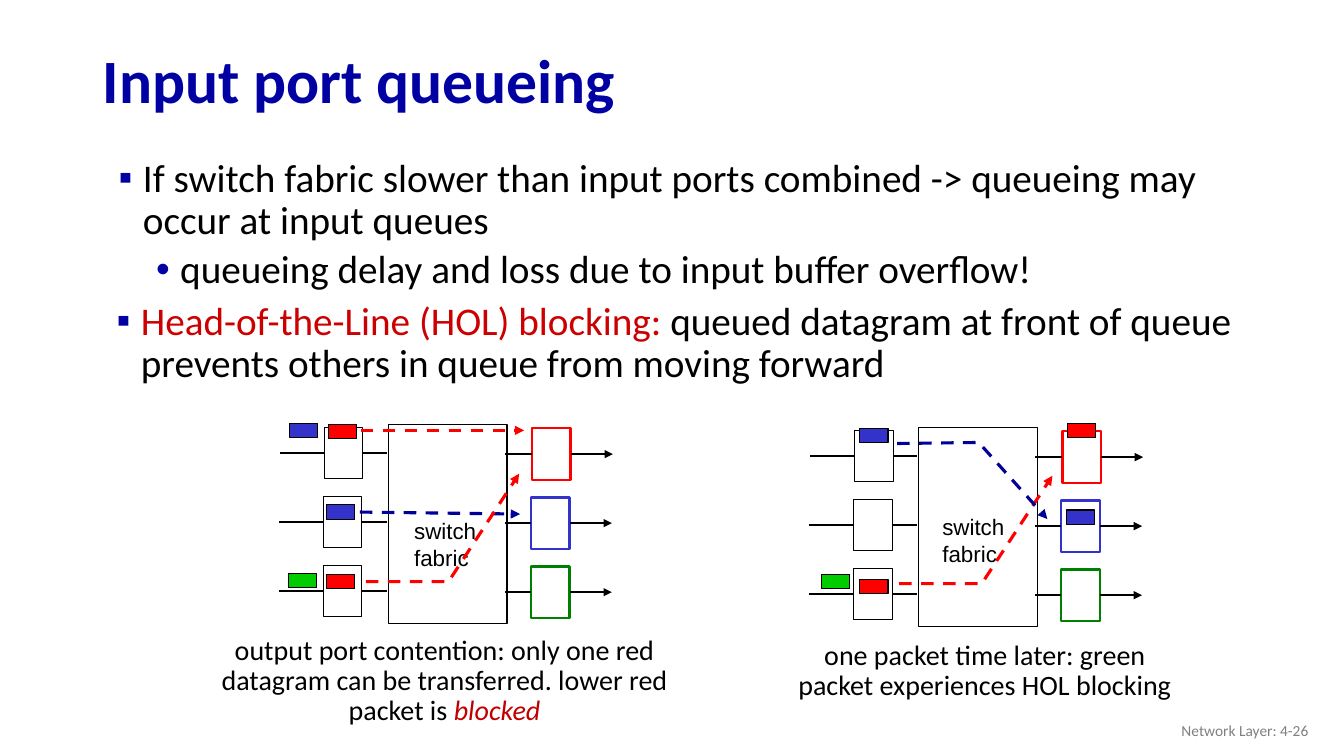
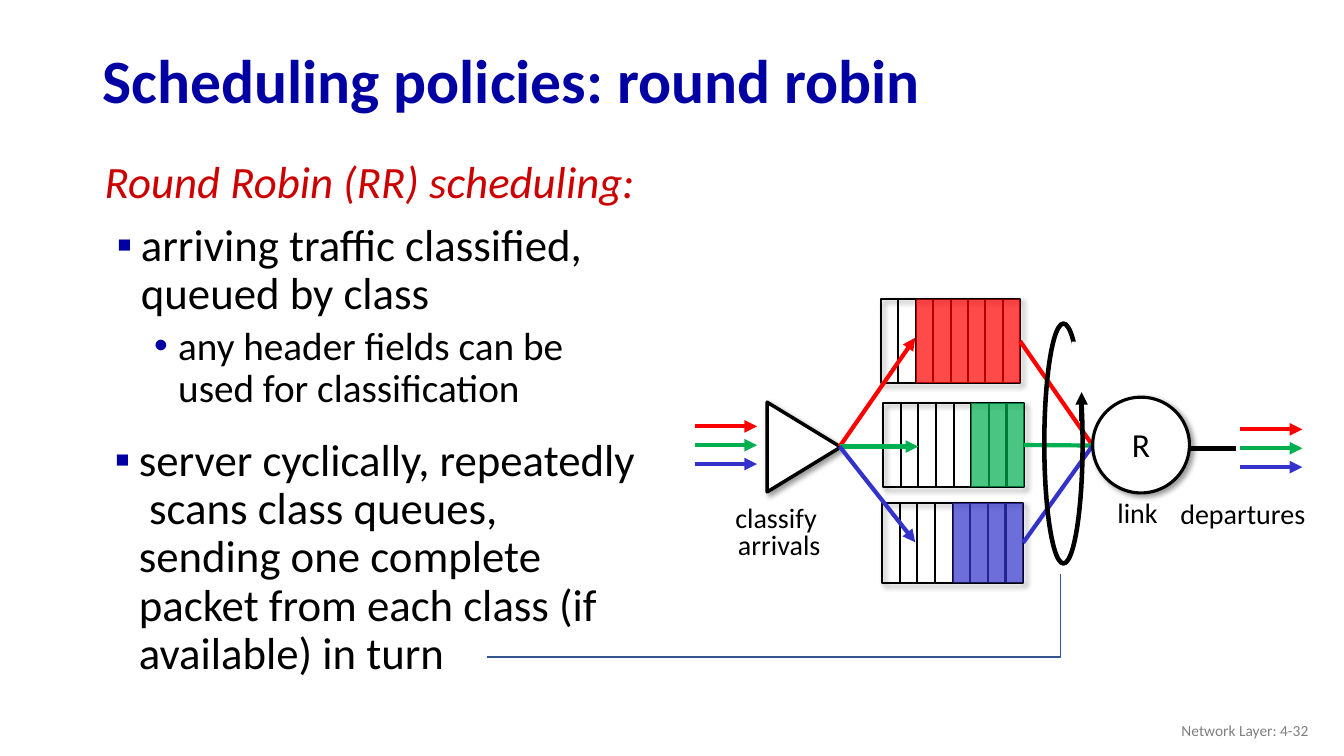
from dataclasses import dataclass

from lxml import etree
from pptx import Presentation
from pptx.dml.color import RGBColor
from pptx.enum import dml, shapes, text
from pptx.oxml.ns import qn
from pptx.util import Inches, Pt


@dataclass(frozen=True)
class Theme:
    # Colours
    title: str = "0000A3"
    ink: str = "000000"
    paper: str = "FFFFFF"
    accent: str = "CC0000"
    blocked: str = "C00000"
    footer: str = "808080"
    red: str = "FF0000"
    blue: str = "3333CC"
    navy: str = "000099"
    port_green: str = "008000"
    packet_green: str = "00CC00"
    class_green: str = "00B050"
    callout: str = "325491"
    # Fonts and sizes in points
    font: str = "Calibri"
    label_font: str = "Arial"
    title_size: int = 44
    large: int = 32
    body: int = 28
    server: int = 24
    caption: int = 20
    label: int = 16
    footer_size: int = 11


THEME = Theme()
CENTER, RIGHT = text.PP_ALIGN.CENTER, text.PP_ALIGN.RIGHT
MIDDLE = text.MSO_ANCHOR.MIDDLE
RECT, OVAL = shapes.MSO_SHAPE.RECTANGLE, shapes.MSO_SHAPE.OVAL
TRIANGLE = shapes.MSO_SHAPE.ISOSCELES_TRIANGLE
TOP_SIDE, LEFT_SIDE, BOTTOM_SIDE, RIGHT_SIDE = range(4)

# Paragraph styles: bullet, text indent in cells, space before, level
HEADING = (None, 3.9, 10, 0)
SQUARE = ("▪", 3.9, 10, 0)
INNER_SQUARE = ("▪", 5.1, 10, 0)
DOT = ("•", 7.6, 5, 1)
INNER_DOT = ("•", 8.8, 5, 1)
HANGING = 2.4

# The grid: square cells of a tenth of an inch
COLUMNS, ROWS = 133.33, 75


def cells(count):
    return Inches(count / 10)


def add_xml(parent, tag, **attributes):
    return etree.SubElement(parent, qn(tag), {k: str(v) for k, v in attributes.items()})


class Deck:
    """Holds the style and the current slide; lengths are grid cells."""

    def __init__(self, theme):
        self.theme = theme
        self.file = Presentation()
        self.file.slide_width, self.file.slide_height = cells(COLUMNS), cells(ROWS)
        self.slide = None

    def start(self, title, page):
        self.slide = self.file.slides.add_slide(self.file.slide_layouts[6])
        t = self.theme
        self.words((9.2, 3.4, 115, 9.8), [title], t.title_size, t.title,
                   bold=True, anchor=MIDDLE)
        self.words((100.8, 70.5, 30, 4), [f"Network Layer: {page}"], t.footer_size,
                   t.footer, align=RIGHT, anchor=MIDDLE, spacing=1)

    def words(self, place, lines, size, color=None, align=None, anchor=None,
              spacing=0.9, bold=False, font=None, wrap=True):
        box = self.slide.shapes.add_textbox(*map(cells, place))
        frame = box.text_frame
        frame.text = "\n".join(lines)
        frame.word_wrap = wrap
        frame.vertical_anchor = anchor
        for paragraph in frame.paragraphs:
            paragraph.alignment = align
            paragraph.line_spacing = spacing
            for run in paragraph.runs:
                self.style(run, size, color, bold, font=font)
        return frame.paragraphs

    def style(self, run, size, color=None, bold=False, italic=False, font=None):
        run.font.name = font or self.theme.font
        run.font.size = Pt(size)
        run.font.bold, run.font.italic = bold, italic
        run.font.color.rgb = RGBColor.from_string(color or self.theme.ink)

    def extend(self, paragraph, words, size, color=None, italic=False):
        run = paragraph.add_run()
        run.text = words
        self.style(run, size, color, italic=italic)

    def bullet(self, paragraph, kind):
        mark, indent, before, level = kind
        paragraph.level = level
        paragraph.space_before = Pt(before)
        props = paragraph._p.get_or_add_pPr()
        props.set("marL", str(cells(indent)))
        props.set("indent", str(-cells(HANGING)))
        if mark:
            add_xml(add_xml(props, "a:buClr"), "a:srgbClr", val=self.theme.title)
            add_xml(props, "a:buFont", typeface=self.theme.label_font)
            add_xml(props, "a:buChar", char=mark)

    def pen(self, item, color, width, dashed=False, arrow=False):
        item.line.color.rgb = RGBColor.from_string(color)
        item.line.width = Pt(width)
        if dashed:
            item.line.dash_style = dml.MSO_LINE.DASH
        if arrow:
            add_xml(item.element.spPr.find(qn("a:ln")), "a:tailEnd", type="triangle")

    def shape(self, kind, place, fill=None, outline=None, width=0.75,
              shadow=False, opacity=None, turn=0):
        item = self.slide.shapes.add_shape(kind, *map(cells, place))
        item.rotation = turn
        item.shadow.inherit = False
        if fill:
            item.fill.solid()
            item.fill.fore_color.rgb = RGBColor.from_string(fill)
        else:
            item.fill.background()
        if opacity:
            tint = item.element.spPr.find(f"{qn('a:solidFill')}/{qn('a:srgbClr')}")
            add_xml(tint, "a:alpha", val=opacity * 1000)
        if outline:
            self.pen(item, outline, width)
        else:
            item.line.fill.background()
        if shadow:
            cast = add_xml(item.element.spPr.find(qn("a:effectLst")), "a:outerShdw",
                           blurRad=Pt(4), dist=Pt(3), dir=45 * 60000, rotWithShape=0)
            add_xml(add_xml(cast, "a:srgbClr", val=self.theme.ink), "a:alpha", val=40000)
        return item

    def line(self, start, end, color=None, width=1.5, dashed=False, arrow=False,
             leaves=None, meets=None):
        item = self.slide.shapes.add_connector(
            shapes.MSO_CONNECTOR.STRAIGHT, *map(cells, (*start, *end)))
        if leaves:
            item.begin_connect(*leaves)
        if meets:
            item.end_connect(*meets)
        self.pen(item, color or self.theme.ink, width, dashed, arrow)
        add_xml(item.element.spPr, "a:effectLst")

    def route(self, points, color, width=2.25, dashed=True, arrow=True):
        first, *rest = [tuple(map(cells, point)) for point in points]
        builder = self.slide.shapes.build_freeform(*first)
        builder.add_line_segments(rest, close=False)
        item = builder.convert_to_shape()
        item.shadow.inherit = False
        item.fill.background()
        self.pen(item, color, width, dashed, arrow)

    # Switch with three input and three output ports
    def switch(self, dx, dy, label_at):
        t = self.theme
        self.shape(RECT, (38.5 + dx, 42.1 + dy, 11.8, 19.8), t.paper, t.ink)
        for row, color in enumerate((t.red, t.blue, t.port_green)):
            top = 42.4 + dy + 6.85 * row
            middle = top + 2.55
            shift = dx + (0.1 if row == 0 else 0)
            source = self.shape(RECT, (32.1 + shift, top, 3.8, 5.1), t.paper, t.ink)
            target = self.shape(RECT, (52.7 + shift, top + 0.1, 3.8, 5.1),
                                t.paper, color, 1.5)
            self.line((27.7 + shift, middle), (32.1 + shift, middle),
                      meets=(source, LEFT_SIDE))
            self.line((35.9 + shift, middle), (38.4 + dx, middle),
                      leaves=(source, RIGHT_SIDE))
            self.line((50.1 + dx, middle + 0.1), (52.7 + shift, middle + 0.1),
                      meets=(target, LEFT_SIDE))
            self.line((56.5 + shift, middle + 0.1), (60.7 + shift, middle + 0.1),
                      arrow=True, leaves=(target, RIGHT_SIDE))
        self.words((*label_at, 8.2, 6.4), ["switch", "fabric"], t.label,
                   font=t.label_font, spacing=1, wrap=False)

    def packets(self, spots):
        for left, top, color in spots:
            self.shape(RECT, (left, top, 2.8, 1.4), color, self.theme.ink)

    # Queue of equal slots, filled from one slot to the right end
    def queue(self, place, first_full, color, slots=8):
        left, top, width, height = place
        frame = self.shape(RECT, place, outline=self.theme.ink, width=1.5, shadow=True)
        slot = width / slots
        for n in range(1, slots):
            x = left + n * slot
            halfway = 2 * n == slots
            self.line((x, top), (x, top + height),
                      leaves=(frame, TOP_SIDE) if halfway else None,
                      meets=(frame, BOTTOM_SIDE) if halfway else None)
        self.shape(RECT, (left + first_full * slot, top, width - first_full * slot, height),
                   color, opacity=71)
        return frame

    def flow(self, left, top, colors):
        for n, color in enumerate(colors):
            y = top + 1.87 * n
            self.line((left, y), (left + 6.2, y), color, 3, arrow=True)

    def caption(self, place, lines, size=None):
        self.words(place, lines, size or self.theme.caption, align=CENTER,
                   spacing=0.8, wrap=False)


def input_queueing(deck):
    t = deck.theme
    deck.start("Input port queueing", "4-26")

    # Bullets
    cause, effect = deck.words(
        (9.3, 15.2, 115, 14.8),
        ["If switch fabric slower than input ports combined -> queueing may occur at input queues",
         "queueing delay and loss due to input buffer overflow!"], t.body)
    deck.bullet(cause, SQUARE)
    deck.bullet(effect, DOT)
    blocking, = deck.words((9.1, 29.4, 115, 10.8), ["Head-of-the-Line (HOL) blocking:"],
                           t.body, t.accent)
    deck.extend(blocking, " queued datagram at front of queue prevents others in queue"
                " from moving forward", t.body)
    deck.bullet(blocking, SQUARE)

    # Contention at the output port
    deck.switch(0, 0, (40.1, 50.8))
    deck.packets([(32.6, 42.1, t.red), (32.4, 50.1, t.blue), (32.4, 57, t.red),
                  (28.7, 42, t.blue), (28.6, 56.9, t.packet_green)])
    deck.line((35.8, 42.7), (52, 42.7), t.red, 2.25, dashed=True, arrow=True)
    deck.line((35.7, 50.8), (51.6, 51), t.navy, 2.25, dashed=True, arrow=True)
    deck.route([(36.3, 57.7), (44.5, 57.7), (51.5, 47)], t.red)
    contention, = deck.words(
        (19.7, 62.6, 48.8, 10.1),
        ["output port contention: only one red datagram can be transferred."
         " lower red packet is "], t.caption, align=CENTER)
    deck.extend(contention, "blocked", t.caption, t.blocked, italic=True)

    # One packet time later
    deck.switch(52.6, 0.3, (92.5, 50.4))
    deck.packets([(105.9, 42, t.red), (85.3, 42.5, t.blue), (85.3, 57.5, t.red),
                  (81.5, 57, t.packet_green), (105.8, 50.6, t.blue)])
    deck.route([(89.2, 57.9), (97.4, 57.9), (104.4, 47.2)], t.red)
    deck.route([(89, 44), (97.1, 43.9), (103.9, 51.5)], t.navy)
    deck.words((78.1, 63.1, 39.2, 7.1),
               ["one packet time later: green packet experiences HOL blocking"],
               t.caption, align=CENTER)


def round_robin(deck):
    t = deck.theme
    classes = (t.red, t.class_green, t.blue)
    deck.start("Scheduling policies: round robin", "4-32")

    # Bullets
    heading, arriving, header = deck.words(
        (7.9, 15.4, 56.4, 27.5),
        ["Round Robin (RR) scheduling:", "arriving traffic classified, queued by class",
         "any header fields can be used for classification"], t.large)
    deck.style(heading.runs[0], t.large, t.accent, italic=True)
    deck.style(header.runs[0], t.body)
    server, = deck.words(
        (7.7, 42.9, 56.4, 25.7),
        ["server cyclically, repeatedly  scans class queues, sending one complete"
         " packet from each class (if available) in turn"], t.large)
    for paragraph, kind in ((heading, HEADING), (arriving, INNER_SQUARE),
                            (header, INNER_DOT), (server, INNER_SQUARE)):
        deck.bullet(paragraph, kind)

    # Class queues
    deck.line((117.6, 44.5), (122.6, 44.5), width=3)
    places = ((87.4, 29.7, 13.8, 8.3), (87.6, 40, 14, 8.3), (87.5, 49.9, 14, 7.9))
    queues = [deck.queue(place, full, color)
              for place, full, color in zip(places, (2, 5, 4), classes)]

    # Classifier, arrivals and departures
    deck.shape(TRIANGLE, (75.3, 40.7, 8.9, 7.3), t.paper, t.ink, 2.5, shadow=True, turn=90)
    deck.flow(68.9, 42.3, classes)
    deck.flow(123, 42.6, classes)
    deck.caption((71.9, 49.8, 10.8, 6.5), ["classify ", "arrivals"])
    deck.caption((116, 49.4, 14.6, 3.8), ["departures"])

    # Paths through the queues to the link
    entries = ((90.8, 33.5), (91.1, 44.3), (90.8, 53.8))
    for queue, entry, color in zip(queues, entries, classes):
        deck.line((83.3, 44.3), entry, color, 3, arrow=True)
        deck.line((101.5, 44.2), (108.4, 44.2), color, 3, leaves=(queue, RIGHT_SIDE))
    deck.shape(OVAL, (108.4, 39.4, 9.6, 9.5), t.paper, t.ink, 2.25, shadow=True)
    deck.caption((109.8, 49.3, 6.1, 3.8), ["link"])
    deck.caption((111.3, 42.3, 3.8, 4.3), ["R"], t.server)

    # Cyclic scan and its callout
    deck.shape(OVAL, (103.6, 32.1, 3.8, 23.8), outline=t.ink, width=3.25)
    deck.shape(RECT, (106.3, 33.9, 2.1, 6.4), t.paper)
    deck.line((107.3, 41.8), (107.3, 38.9), width=3, arrow=True)
    deck.route([(48.3, 65.2), (105.2, 65.2), (105.2, 56.9)], t.callout, 1,
               dashed=False, arrow=False)


def main():
    deck = Deck(THEME)
    input_queueing(deck)
    round_robin(deck)
    deck.file.save("out.pptx")


if __name__ == "__main__":
    main()
